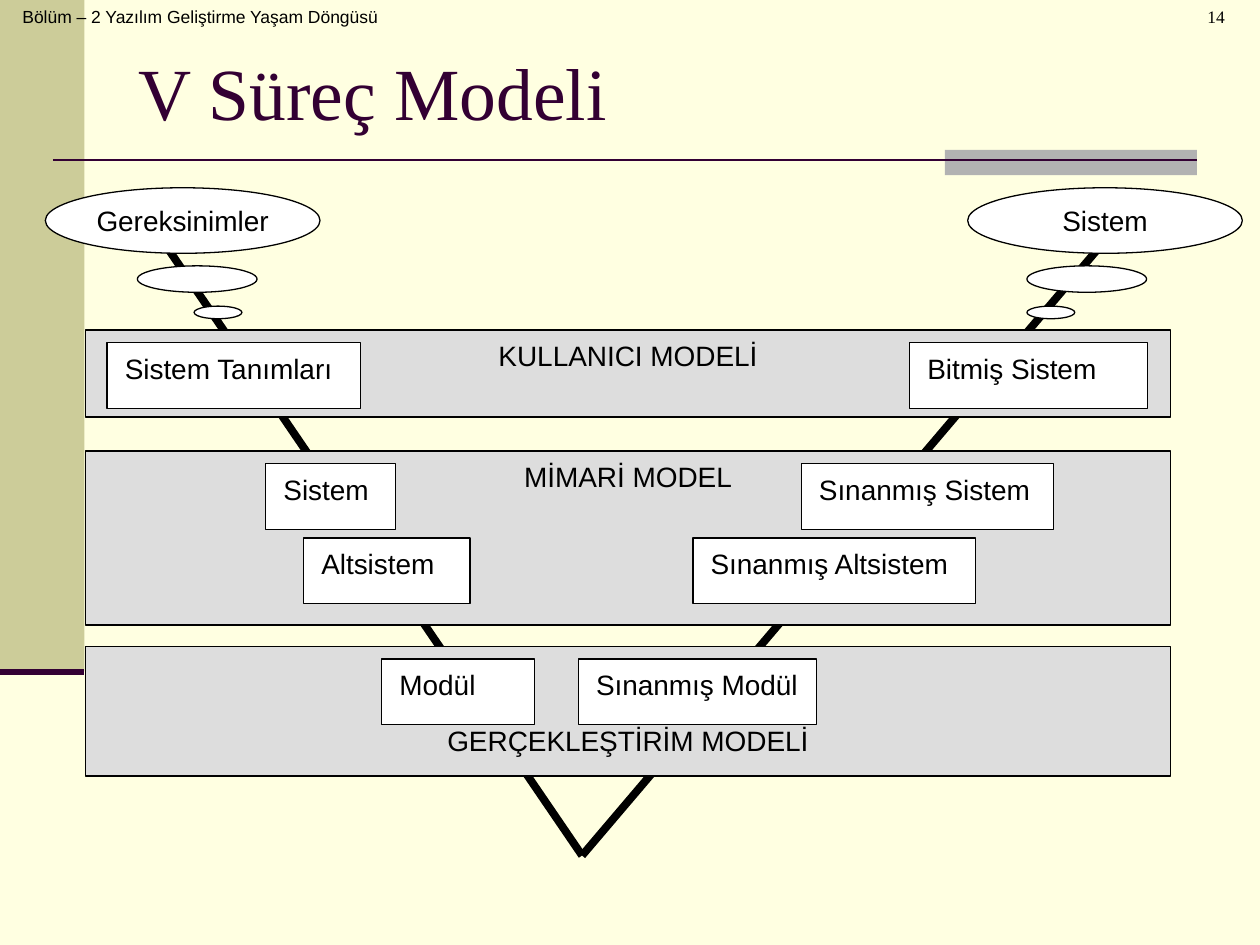
"""Builds the V process model slide."""
from dataclasses import dataclass

from lxml import etree
from pptx import Presentation
from pptx import util as u
from pptx.dml.color import RGBColor
from pptx.enum import shapes, text
from pptx.oxml.ns import qn

COLORS = {
    "cream": "FFFFE1", "olive": "CCCC99", "silver": "B2B2B2", "plum": "330033",
    "band": "DDDDDD", "white": "FFFFFF", "black": "000000",
}
RECT, OVAL = shapes.MSO_SHAPE.RECTANGLE, shapes.MSO_SHAPE.OVAL
LEFT, CENTER = text.PP_ALIGN.LEFT, text.PP_ALIGN.CENTER
TOP, MIDDLE, BOTTOM = (text.MSO_ANCHOR.TOP, text.MSO_ANCHOR.MIDDLE,
                       text.MSO_ANCHOR.BOTTOM)
BAND_X, BAND_W, STEP_H, STEP_GAP = 0.68, 8.61, 0.52, 0.1


@dataclass
class Band:
    label: str
    y: float
    h: float
    anchor: text.MSO_ANCHOR = TOP


@dataclass
class Step:
    label: str
    x: float
    y: float
    w: float


@dataclass
class Cloud:
    label: str
    x: float
    puff_x: float
    dot_x: float


BANDS = [
    Band("KULLANICI MODELİ", 2.62, 0.69),
    Band("MİMARİ MODEL", 3.58, 1.38),
    Band("GERÇEKLEŞTİRİM MODELİ", 5.13, 1.03, BOTTOM),
]
USER_Y, ARCH_Y, BUILD_Y = (band.y + STEP_GAP for band in BANDS)
SUB_Y = ARCH_Y + 0.59
STEPS = [
    Step("Sistem Tanımları", 0.85, USER_Y, 2.01),
    Step("Bitmiş Sistem", 7.22, USER_Y, 1.89),
    Step("Sistem", 2.11, ARCH_Y, 1.03),
    Step("Sınanmış Sistem", 6.36, ARCH_Y, 2),
    Step("Altsistem", 2.41, SUB_Y, 1.32),
    Step("Sınanmış Altsistem", 5.5, SUB_Y, 2.24),
    Step("Modül", 3.03, BUILD_Y, 1.21),
    Step("Sınanmış Modül", 4.59, BUILD_Y, 1.89),
]
CLOUDS = [
    Cloud("Gereksinimler", 0.36, 1.09, 1.54),
    Cloud("Sistem", 7.68, 8.15, 8.15),
]


def rgb(name: str) -> RGBColor:
    """Return a palette colour."""
    return RGBColor.from_string(COLORS[name])


def write(sp, label: str, size: float, font: str = "Arial", color: str = "black",
          align=LEFT, anchor=TOP, margins=(0.1, 0.05, 0.1, 0.05)) -> None:
    """Put one formatted line of text in a shape."""
    tf = sp.text_frame
    sides = ("margin_left", "margin_top", "margin_right", "margin_bottom")
    frame = {"word_wrap": True, "auto_size": text.MSO_AUTO_SIZE.NONE,
             "vertical_anchor": anchor}
    frame.update(zip(sides, map(u.Inches, margins)))
    for key, value in frame.items():
        setattr(tf, key, value)
    p = tf.paragraphs[0]
    p.alignment = align
    r = p.add_run()
    r.text = label
    for key, value in {"size": u.Pt(size), "name": font}.items():
        setattr(r.font, key, value)
    r.font.color.rgb = rgb(color)


def add_box(s, kind, x: float, y: float, w: float, h: float, fill: str,
            outlined: bool = True):
    """Add a filled preset shape."""
    sp = s.shapes.add_shape(kind, *map(u.Inches, (x, y, w, h)))
    sp.shadow.inherit = False
    sp.fill.solid()
    sp.fill.fore_color.rgb = rgb(fill)
    if outlined:
        sp.line.color.rgb = rgb("black")
        sp.line.width = u.Pt(0.75)
    else:
        sp.line.fill.background()
    return sp


def add_line(s, start: tuple, end: tuple, color: str, width: float) -> None:
    """Add a straight line without a shadow."""
    c = s.shapes.add_connector(shapes.MSO_CONNECTOR.STRAIGHT,
                               *map(u.Inches, start + end))
    c.line.color.rgb = rgb(color)
    c.line.width = u.Pt(width)
    etree.SubElement(c._element.spPr, qn("a:effectLst"))


def add_label(s, label: str, x: float, w: float, **style) -> None:
    """Add a small text box on the top edge."""
    sp = s.shapes.add_textbox(*map(u.Inches, (x, 0, w, 0.5)))
    write(sp, label, 10, **style)


def add_band(s, band: Band) -> None:
    """Add a full-width model band."""
    sp = add_box(s, RECT, BAND_X, band.y, BAND_W, band.h, "band")
    write(sp, band.label, 16, align=CENTER, anchor=band.anchor,
          margins=(0.14, 0.07, 0.14, 0.15))


def add_step(s, step: Step) -> None:
    """Add a labelled step box."""
    sp = add_box(s, RECT, step.x, step.y, step.w, STEP_H, "white")
    write(sp, step.label, 16, margins=(0.14, 0.07, 0.14, 0.07))


def add_cloud(s, cloud: Cloud) -> None:
    """Add a thought bubble made of three ovals."""
    sp = add_box(s, OVAL, cloud.x, 1.49, 2.18, 0.52, "white")
    write(sp, cloud.label, 16, align=CENTER, anchor=MIDDLE,
          margins=(0.08, 0.04, 0.08, 0.04))
    add_box(s, OVAL, cloud.puff_x, 2.11, 0.95, 0.21, "white")
    add_box(s, OVAL, cloud.dot_x, 2.43, 0.38, 0.1, "white")


def main() -> None:
    """Build and save the slide."""
    prs = Presentation()
    prs.slide_width, prs.slide_height = u.Inches(10), u.Inches(7.5)
    s = prs.slides.add_slide(prs.slide_layouts[5])
    s.background.fill.solid()
    s.background.fill.fore_color.rgb = rgb("cream")

    add_box(s, RECT, 0, 0, 0.67, 5.33, "olive", outlined=False)
    add_box(s, RECT, 7.5, 1.19, 2, 0.2, "silver", outlined=False)
    add_line(s, (0.42, 1.27), (9.5, 1.27), "plum", 1.5)
    add_line(s, (0, 5.33), (0.67, 5.33), "plum", 3.5)
    add_label(s, "Bölüm – 2 Yazılım Geliştirme Yaşam Döngüsü", 0.08, 3.27)

    title = s.shapes.title
    place = {"left": 1, "top": 0.3, "width": 8.5, "height": 0.85}
    for key, value in place.items():
        setattr(title, key, u.Inches(value))
    write(title, "V Süreç Modeli", 42, "Times New Roman", "plum", anchor=MIDDLE)

    tip = (4.62, 6.79)
    for top in ((1.29, 1.91), (8.77, 1.91)):
        add_line(s, top, tip, "black", 4.5)
    for band in BANDS:
        add_band(s, band)
    for step in STEPS:
        add_step(s, step)
    for cloud in CLOUDS:
        add_cloud(s, cloud)
    add_label(s, "14", 8.94, 1.18, font="Times New Roman", align=CENTER,
              margins=(0.34, 0.05, 0.1, 0.05))
    prs.save("out.pptx")


if __name__ == "__main__":
    main()
